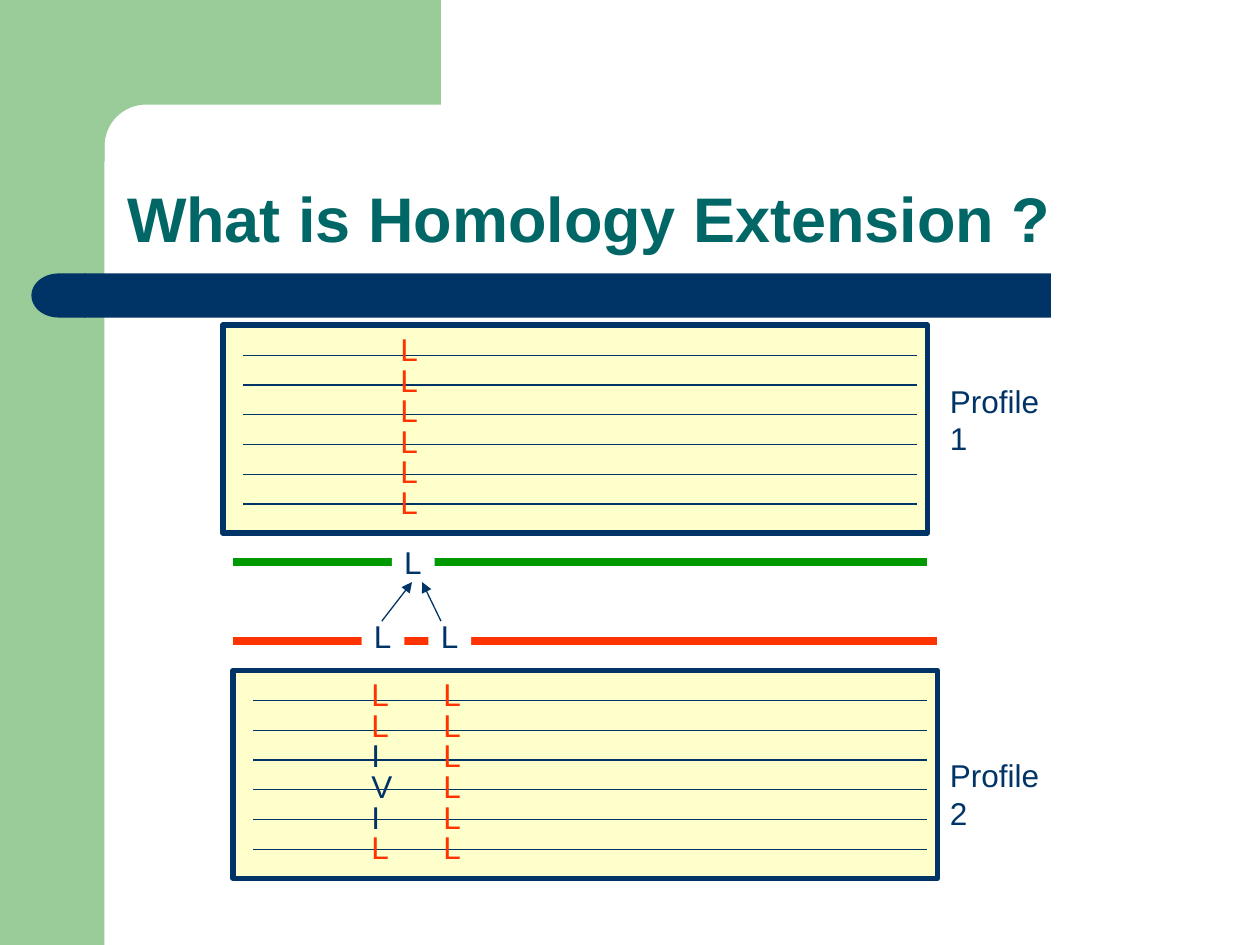
import math

from lxml import etree
from pptx import Presentation
from pptx.dml.color import RGBColor
from pptx.enum import shapes, text
from pptx.oxml import ns
from pptx.util import Inches, Pt

COLORS = {
    "sage": "99CC99",
    "navy": "003366",
    "teal": "006666",
    "green": "009900",
    "red": "FF3300",
    "cream": "FFFFCC",
    "white": "FFFFFF",
}
ROWS = 6
LINE_PITCH = 0.236
LETTER_PITCH = 0.243


class SlideBuilder:
    font_name = "Arial"
    body_size = 18

    def __init__(self, slide):
        self.slide = slide

    def color(self, name):
        return RGBColor.from_string(COLORS[name])

    def paint(self, shape, fill, line=None, width=3):
        shape.shadow.inherit = False
        shape.fill.solid()
        shape.fill.fore_color.rgb = self.color(fill)
        if line:
            shape.line.color.rgb = self.color(line)
            shape.line.width = Pt(width)
        else:
            shape.line.fill.background()
        return shape

    def box(self, left, top, width, height, fill, line=None, kind=shapes.MSO_SHAPE.RECTANGLE):
        shape = self.slide.shapes.add_shape(
            kind, Inches(left), Inches(top), Inches(width), Inches(height))
        return self.paint(shape, fill, line)

    def outline(self, points, fill):
        vertices = [(Inches(x), Inches(y)) for x, y in points]
        builder = self.slide.shapes.build_freeform(*vertices[0])
        builder.add_line_segments(vertices[1:])
        return self.paint(builder.convert_to_shape(), fill)

    def line(self, start, end, color="navy", width=0.75, arrow=False):
        connector = self.slide.shapes.add_connector(
            shapes.MSO_CONNECTOR.STRAIGHT, *(Inches(value) for value in (*start, *end)))
        connector.line.color.rgb = self.color(color)
        connector.line.width = Pt(width)
        properties = connector._element.spPr
        if arrow:
            outline = properties.find(ns.qn("a:ln"))
            etree.SubElement(outline, ns.qn("a:tailEnd"), type="triangle")
        etree.SubElement(properties, ns.qn("a:effectLst"))

    def set_text(self, shape, content, color, size, bold=False):
        paragraph = shape.text_frame.paragraphs[0]
        paragraph.text = content
        paragraph.alignment = text.PP_ALIGN.LEFT
        paragraph.font.name = self.font_name
        paragraph.font.size = Pt(size)
        paragraph.font.bold = bold
        paragraph.font.color.rgb = self.color(color)
        return paragraph

    def label(self, left, top, content, color="navy", width=0.34, fill=None):
        if fill:
            shape = self.box(left, top, width, 0.4, fill)
        else:
            shape = self.slide.shapes.add_textbox(
                Inches(left), Inches(top), Inches(width), Inches(0.4))
        frame = shape.text_frame
        frame.word_wrap = False
        frame.auto_size = text.MSO_AUTO_SIZE.SHAPE_TO_FIT_TEXT
        frame.vertical_anchor = text.MSO_ANCHOR.TOP
        self.set_text(shape, content, color, self.body_size)

    def title(self, content):
        shape = self.slide.shapes.add_textbox(
            Inches(0.91), Inches(0.99), Inches(8.51), Inches(1.09))
        shape.text_frame.word_wrap = True
        shape.text_frame.vertical_anchor = text.MSO_ANCHOR.BOTTOM
        self.set_text(shape, content, "teal", 36, bold=True).line_spacing = 0.9

    def profile(self, left, top, columns):
        self.box(left, top, 5.59, 1.65, "cream", "navy")
        for row in range(ROWS):
            y = top + 0.24 + row * LINE_PITCH
            self.line((left + 0.16, y), (left + 5.51, y))
        widths = {"L": 0.34, "I": 0.27, "V": 0.36}
        for x, letters in columns:
            for row, letter in enumerate(letters):
                self.label(x, top - 0.01 + row * LETTER_PITCH, letter,
                           "red" if letter == "L" else "navy", widths[letter])

    def background(self):
        self.box(0, 0, 0.83, 7.5, "sage")
        center, radius, steps = 1.16, 0.33, 16
        angles = [math.pi / 2 * step / steps for step in range(steps + 1)]
        corner = [(center - radius * math.sin(a), center - radius * math.cos(a)) for a in angles]
        self.outline([(3.5, 0), (3.5, 0.83), *corner, (0.83, 1.28), (0.5, 1.28), (0.5, 0)], "sage")
        bar = self.box(0.67, 2.17, 7.67, 0.35, "navy", kind=shapes.MSO_SHAPE.ROUNDED_RECTANGLE)
        bar.adjustments[0] = 0
        cap = self.box(0.25, 2.17, 0.43, 0.35, "navy", kind=shapes.MSO_SHAPE.FLOWCHART_DELAY)
        cap._element.spPr.xfrm.set("flipH", "1")


def main():
    presentation = Presentation()
    presentation.slide_width = Inches(10)
    presentation.slide_height = Inches(7.5)
    builder = SlideBuilder(presentation.slides.add_slide(presentation.slide_layouts[6]))

    builder.background()
    builder.title("What is Homology Extension ?")

    builder.line((1.85, 4.46), (7.36, 4.46), "green", 4.5)
    builder.line((1.85, 5.09), (7.44, 5.09), "red", 4.5)
    for left, top in ((2.87, 4.85), (3.4, 4.85), (3.11, 4.26)):
        builder.label(left, top, "L", fill="white")
    builder.line((3.03, 4.93), (3.27, 4.62), arrow=True)
    builder.line((3.5, 4.93), (3.35, 4.62), arrow=True)

    builder.profile(1.85, 5.32, [(3.42, "LLLLLL"), (2.85, "LLIVIL")])
    builder.profile(1.77, 2.58, [(3.08, "LLLLLL")])
    builder.label(7.44, 2.98, "Profile 1", width=1.11)
    builder.label(7.44, 5.95, "Profile 2", width=1.11)

    presentation.save("out.pptx")


if __name__ == "__main__":
    main()
